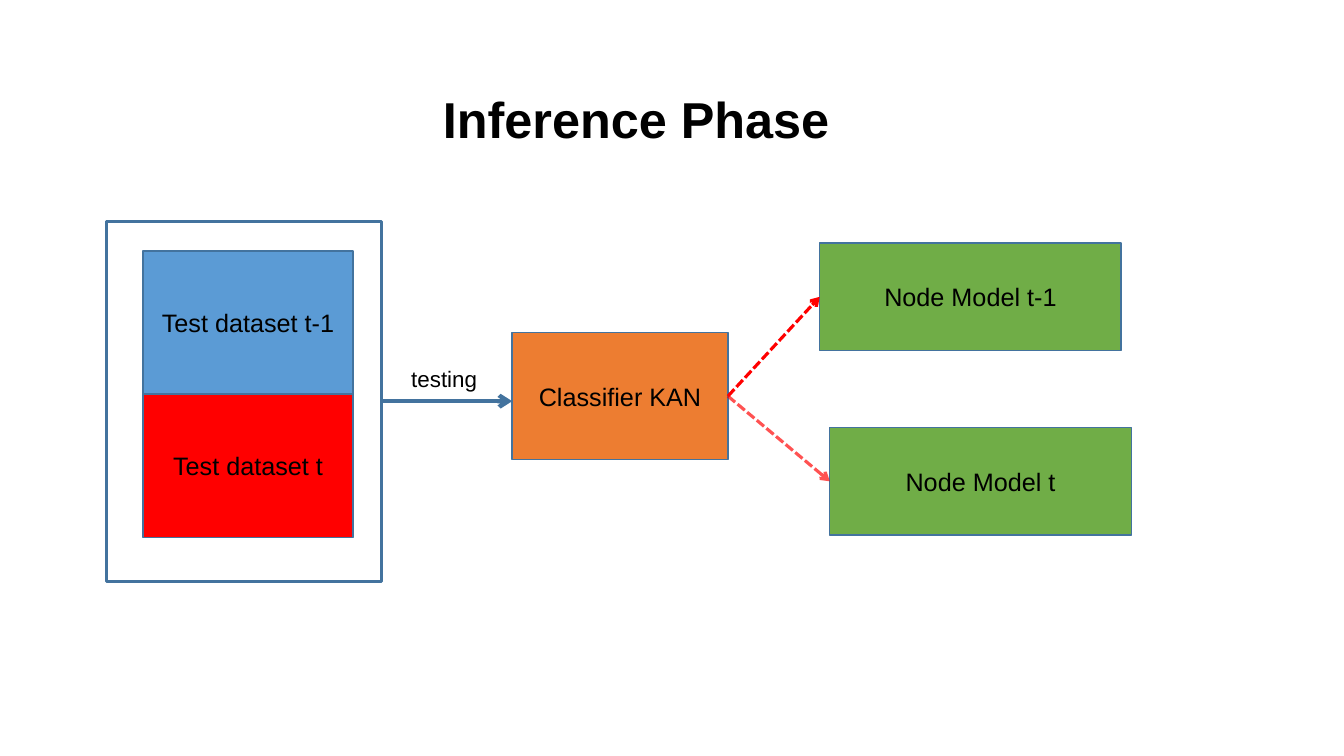
from lxml.etree import SubElement
from pptx import Presentation
from pptx.dml.color import RGBColor
from pptx.enum.dml import MSO_LINE
from pptx.enum.shapes import MSO_CONNECTOR, MSO_SHAPE
from pptx.enum.text import MSO_ANCHOR, PP_ALIGN
from pptx.oxml.ns import qn
from pptx.util import Inches, Pt

COLORS = {
    "text": "000000",
    "outline": "43739E",
    "previous": "5B9BD5",
    "current": "FF0000",
    "classifier": "ED7D31",
    "node": "70AD47",
}
CELL = 0.1  # inches per grid column and row
LEFT_SITE, RIGHT_SITE = 1, 3


def color(name):
    return RGBColor.from_string(COLORS[name])


def grid(*cells):
    return [Inches(cell * CELL) for cell in cells]


class Diagram:
    """Draws on one slide, with all places given in grid columns and rows."""

    font = "Arial"

    def __init__(self, slide):
        self.slide = slide

    def set_text(self, frame, text, size, bold=False, anchor=MSO_ANCHOR.MIDDLE):
        for name, value in {"word_wrap": True, "vertical_anchor": anchor}.items():
            setattr(frame, name, value)
        paragraph = frame.paragraphs[0]
        paragraph.alignment = PP_ALIGN.CENTER
        run = paragraph.add_run()
        run.text = text
        run.font.color.rgb = color("text")
        font_format = {"name": self.font, "size": Pt(size), "bold": bold}
        for name, value in font_format.items():
            setattr(run.font, name, value)

    def title(self, text, *place):
        heading = self.slide.shapes.title
        sides = ("left", "top", "width", "height")
        for side, length in zip(sides, grid(*place)):
            setattr(heading, side, length)
        self.set_text(heading.text_frame, text, 36, True, MSO_ANCHOR.TOP)

    def label(self, text, *place):
        caption = self.slide.shapes.add_textbox(*grid(*place))
        self.set_text(caption.text_frame, text, 16, anchor=MSO_ANCHOR.TOP)

    def box(self, text, fill, *place, weight=1):
        block = self.slide.shapes.add_shape(MSO_SHAPE.RECTANGLE, *grid(*place))
        block.shadow.inherit = False
        if fill:
            block.fill.solid()
            block.fill.fore_color.rgb = color(fill)
        else:
            block.fill.background()
        block.line.color.rgb = color("outline")
        block.line.width = Pt(weight)
        if text:
            self.set_text(block.text_frame, text, 18)
        return block

    def arrow(self, stroke, weight, *ends, dash=None, opacity=100):
        link = self.slide.shapes.add_connector(MSO_CONNECTOR.STRAIGHT, *grid(*ends))
        link.line.color.rgb = color(stroke)
        for name, value in {"width": Pt(weight), "dash_style": dash}.items():
            setattr(link.line, name, value)
        outline = link.get_or_add_ln()
        if opacity < 100:
            tint = outline.find(".//" + qn("a:srgbClr"))
            SubElement(tint, qn("a:alpha"), val=str(opacity * 1000))
        SubElement(outline, qn("a:tailEnd"), type="arrow")
        SubElement(outline.getparent(), qn("a:effectLst"))
        return link

    def route(self, source, target, opacity):
        """Joins two boxes with a dashed arrow, right side to left side."""
        link = self.arrow("current", 2.25, 0, 0, 0, 0,
                          dash=MSO_LINE.SQUARE_DOT, opacity=opacity)
        link.begin_connect(source, RIGHT_SITE)
        link.end_connect(target, LEFT_SITE)


def main():
    deck = Presentation()
    deck.slide_width, deck.slide_height = Inches(13.33), Inches(7.5)
    title_only = deck.slide_layouts[5]
    diagram = Diagram(deck.slides.add_slide(title_only))

    diagram.title("Inference Phase", 32.7, 8.2, 60.8, 7)

    dataset_height = 14.2
    datasets = [("Test dataset t-1", "previous"), ("Test dataset t", "current")]
    for row, (name, fill) in reversed(list(enumerate(datasets))):
        top = 24.9 + row * dataset_height
        diagram.box(name, fill, 14.2, top, 20.8, dataset_height)
    diagram.box("", None, 10.6, 22, 27.2, 35.7, weight=2.25)

    classifier = diagram.box("Classifier KAN", "classifier", 50.8, 33, 21.4, 12.6)
    diagram.arrow("outline", 3, 37.8, 39.8, 50.8, 39.8)
    diagram.label("testing", 37.8, 35.7, 12.5, 3.7)

    nodes = [("Node Model t-1", 81.3, 24.1, 100), ("Node Model t", 82.3, 42.4, 68)]
    for name, left, top, opacity in nodes:
        node = diagram.box(name, "node", left, top, 29.9, 10.7)
        diagram.route(classifier, node, opacity)

    deck.save("out.pptx")


if __name__ == "__main__":
    main()
